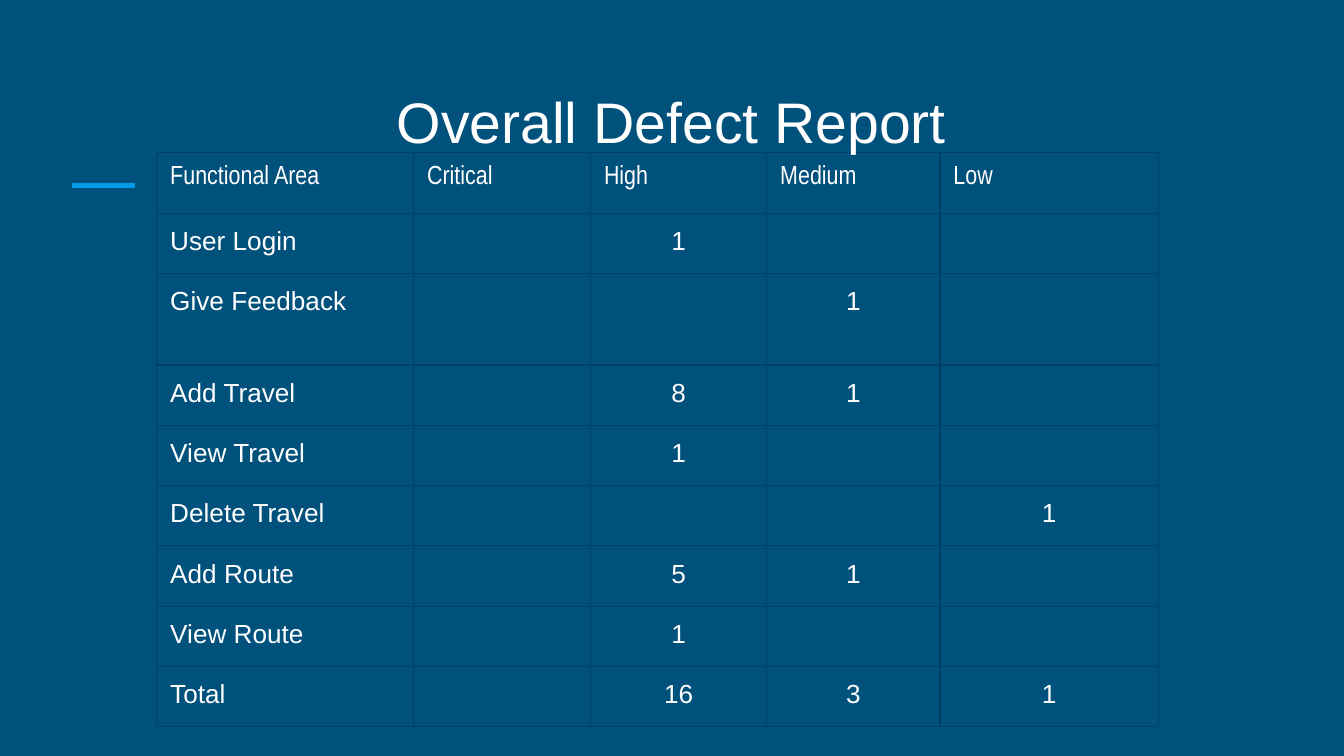
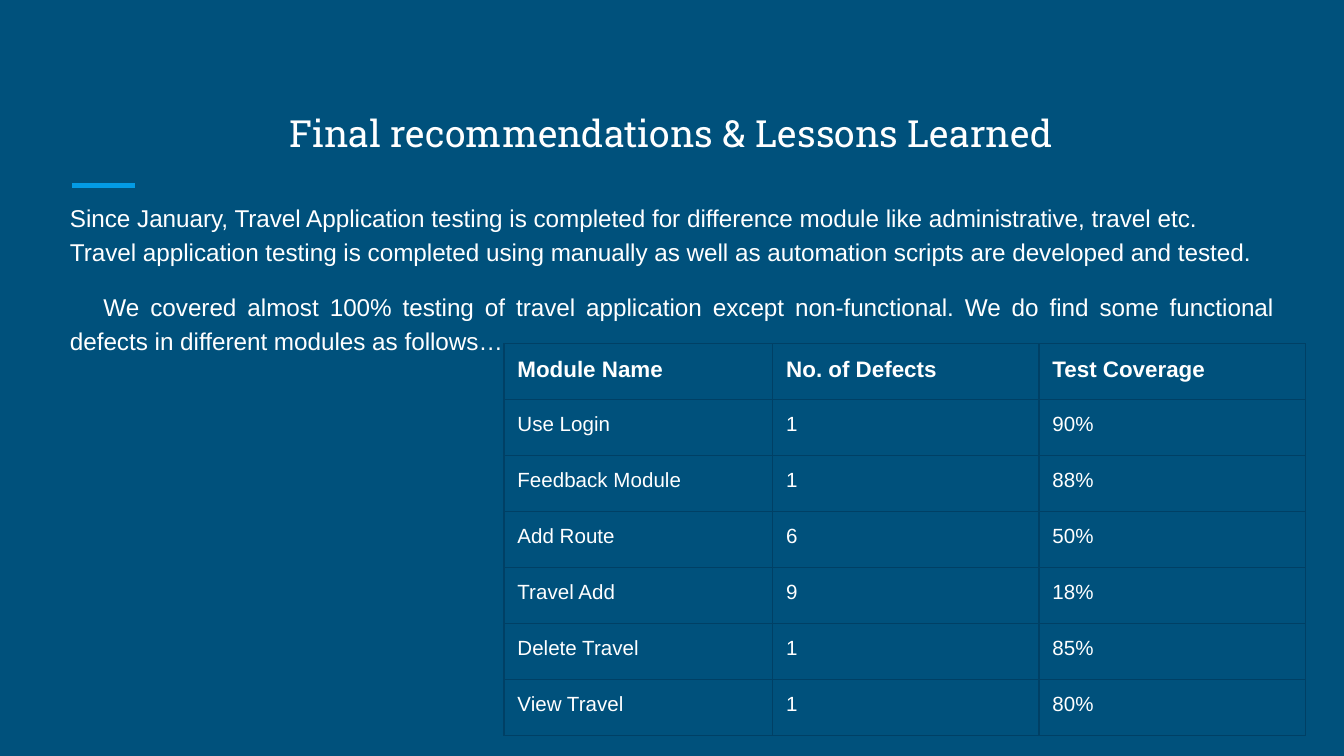
from lxml.etree import SubElement
from pptx import Presentation
from pptx.dml.color import RGBColor
from pptx.enum.shapes import MSO_CONNECTOR
from pptx.enum.text import MSO_ANCHOR, MSO_AUTO_SIZE, PP_ALIGN
from pptx.oxml.ns import qn
from pptx.util import Pt

NAVY = RGBColor(0x00, 0x51, 0x7C)
GRID = RGBColor(0x00, 0x40, 0x65)
ACCENT = RGBColor(0x03, 0x9B, 0xE5)
WHITE = RGBColor(0xFF, 0xFF, 0xFF)
INSET = Pt(7.2)
TEXT_LEFT, TEXT_WIDTH = 30.24, 658.8
ACCENT_TOP = 99.4

DEFECT_WIDTHS = [137.6, 94.8, 94.4, 92.8, 117]
DEFECT_HEIGHTS = [32.6, 32.4, 49] + [32.3] * 6
DEFECTS = [
    ["Functional Area", "Critical", "High", "Medium", "Low"],
    ["User Login", "", "1", "", ""],
    ["Give Feedback", "", "", "1", ""],
    ["Add Travel", "", "8", "1", ""],
    ["View Travel", "", "1", "", ""],
    ["Delete Travel", "", "", "", "1"],
    ["Add Route", "", "5", "1", ""],
    ["View Route", "", "1", "", ""],
    ["Total", "", "16", "3", "1"],
]

MODULE_WIDTHS = [144, 142.6, 142.6]
MODULES = [
    ["Module Name", "No. of Defects", "Test Coverage"],
    ["Use Login", "1", "90%"],
    ["Feedback Module", "1", "88%"],
    ["Add Route", "6", "50%"],
    ["Travel Add", "9", "18%"],
    ["Delete Travel", "1", "85%"],
    ["View Travel", "1", "80%"],
]
MODULE_HEIGHTS = [30] * len(MODULES)

SUMMARY = [
    "Since January, Travel Application testing is completed for difference "
    "module like administrative, travel etc.",
    "Travel application testing is completed using manually as well as "
    "automation scripts are developed and tested.",
]
COVERAGE = ("We covered almost 100% testing of travel application except "
            "non-functional. We do find some functional defects in different "
            "modules as follows…")


def add_run(paragraph, text, size, font="Arial", bold=False):
    """Append one white run to a paragraph."""
    run = paragraph.add_run()
    run.text = text
    run.font.size = Pt(size)
    run.font.name = font
    run.font.bold = bold
    run.font.color.rgb = WHITE


def place(holder, top, height, anchor):
    """Move a placeholder into the text column and return its text frame."""
    holder.left, holder.top = Pt(TEXT_LEFT), Pt(top)
    holder.width, holder.height = Pt(TEXT_WIDTH), Pt(height)
    frame = holder.text_frame
    frame.word_wrap = True
    frame.auto_size = MSO_AUTO_SIZE.NONE
    frame.vertical_anchor = anchor
    frame.margin_left = frame.margin_right = INSET
    frame.margin_top = frame.margin_bottom = INSET
    return frame


def add_accent(slide):
    """Draw the short bright rule below the title."""
    accent = slide.shapes.add_connector(
        MSO_CONNECTOR.STRAIGHT, Pt(38.7), Pt(ACCENT_TOP), Pt(72.2), Pt(ACCENT_TOP))
    accent.line.color.rgb = ACCENT
    accent.line.width = Pt(3)
    SubElement(accent._element.spPr, qn("a:effectLst"))


def start_slide(deck, layout, heading, size, font):
    """Add a slide with its title and accent rule."""
    slide = deck.slides.add_slide(deck.slide_layouts.get_by_name(layout))
    add_accent(slide)
    title = place(slide.shapes.title, 36, 54, MSO_ANCHOR.BOTTOM).paragraphs[0]
    title.alignment = PP_ALIGN.CENTER
    add_run(title, heading, size, font)
    return slide


def set_borders(cell):
    """Give a cell thin dark lines on its four sides."""
    properties = cell._tc.get_or_add_tcPr()
    for side in ("lnL", "lnR", "lnT", "lnB"):
        line = SubElement(properties, qn(f"a:{side}"), w=str(Pt(0.75)))
        fill = SubElement(line, qn("a:solidFill"))
        SubElement(fill, qn("a:srgbClr"), val=str(GRID))


def fill_cell(cell, text, size, font="Arial", bold=False, centred=False):
    """Write and format one table cell."""
    set_borders(cell)
    cell.fill.background()
    cell.margin_left = cell.margin_right = INSET
    cell.margin_top = cell.margin_bottom = INSET
    paragraph = cell.text_frame.paragraphs[0]
    if centred:
        paragraph.alignment = PP_ALIGN.CENTER
    if text:
        add_run(paragraph, text, size, font, bold)
    else:
        paragraph._p.get_or_add_endParaRPr().set("sz", str(size * 100))


def add_grid(slide, left, top, widths, heights):
    """Add an unstyled table with the given column widths and row heights."""
    table = slide.shapes.add_table(
        len(heights), len(widths), Pt(left), Pt(top),
        Pt(sum(widths)), Pt(sum(heights))).table
    table.first_row = table.horz_banding = False
    for column, width in zip(table.columns, widths):
        column.width = Pt(width)
    for row, height in zip(table.rows, heights):
        row.height = Pt(height)
    return table


def add_paragraph_format(paragraph, indent, before, after):
    """Set an unbulleted paragraph's first-line indent and spacing."""
    properties = paragraph._p.get_or_add_pPr()
    properties.set("marL", "0")
    properties.set("indent", str(Pt(indent)))
    paragraph.line_spacing = 1.15
    paragraph.space_before, paragraph.space_after = Pt(before), Pt(after)
    SubElement(properties, qn("a:buNone"))


def build_defect_report(deck):
    """Build the slide of defects by functional area and severity."""
    slide = start_slide(deck, "Title Only", "Overall Defect Report", 30.6, "Arial")
    table = add_grid(slide, 84, 81.6, DEFECT_WIDTHS, DEFECT_HEIGHTS)
    for r, row in enumerate(DEFECTS):
        for c, text in enumerate(row):
            cell = table.cell(r, c)
            if r == 0:
                fill_cell(cell, text, 14, "Arial Narrow")
                cell.fill.solid()
                cell.fill.fore_color.rgb = NAVY
            else:
                fill_cell(cell, text, 14, centred=c > 0)
    slide.shapes._spTree.append(slide.shapes.title._element)


def build_recommendations(deck):
    """Build the slide of closing remarks and module coverage."""
    slide = start_slide(deck, "Title and Content",
                        "Final recommendations & Lessons Learned", 20, "Roboto Slab")
    frame = place(slide.placeholders[1], ACCENT_TOP, 242.6, MSO_ANCHOR.TOP)
    summary = frame.paragraphs[0]
    add_paragraph_format(summary, 0, 0, 0)
    add_run(summary, SUMMARY[0], 13)
    summary.add_line_break()
    add_run(summary, SUMMARY[1], 13)
    coverage = frame.add_paragraph()
    coverage.alignment = PP_ALIGN.JUSTIFY
    add_paragraph_format(coverage, 18, 12, 12)
    add_run(coverage, COVERAGE, 13)

    table = add_grid(slide, 270, 184.2, MODULE_WIDTHS, MODULE_HEIGHTS)
    for r, row in enumerate(MODULES):
        for c, text in enumerate(row):
            fill_cell(table.cell(r, c), text, 11 if r else 12, bold=r == 0)


def main():
    """Build and save the deck."""
    deck = Presentation()
    deck.slide_width, deck.slide_height = Pt(720), Pt(405)
    background = deck.slide_master.background.fill
    background.solid()
    background.fore_color.rgb = NAVY
    build_defect_report(deck)
    build_recommendations(deck)
    deck.save("out.pptx")


if __name__ == "__main__":
    main()
